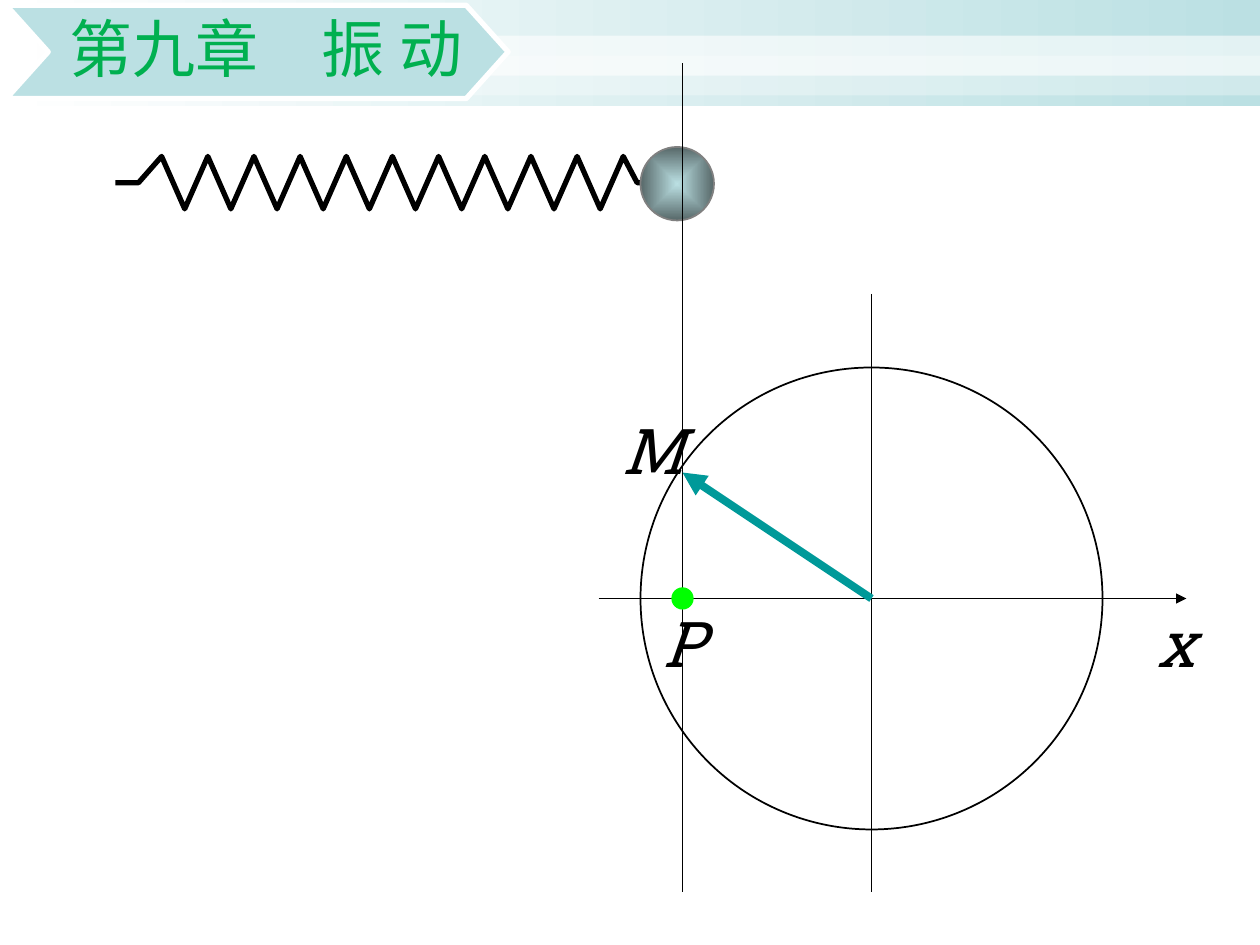
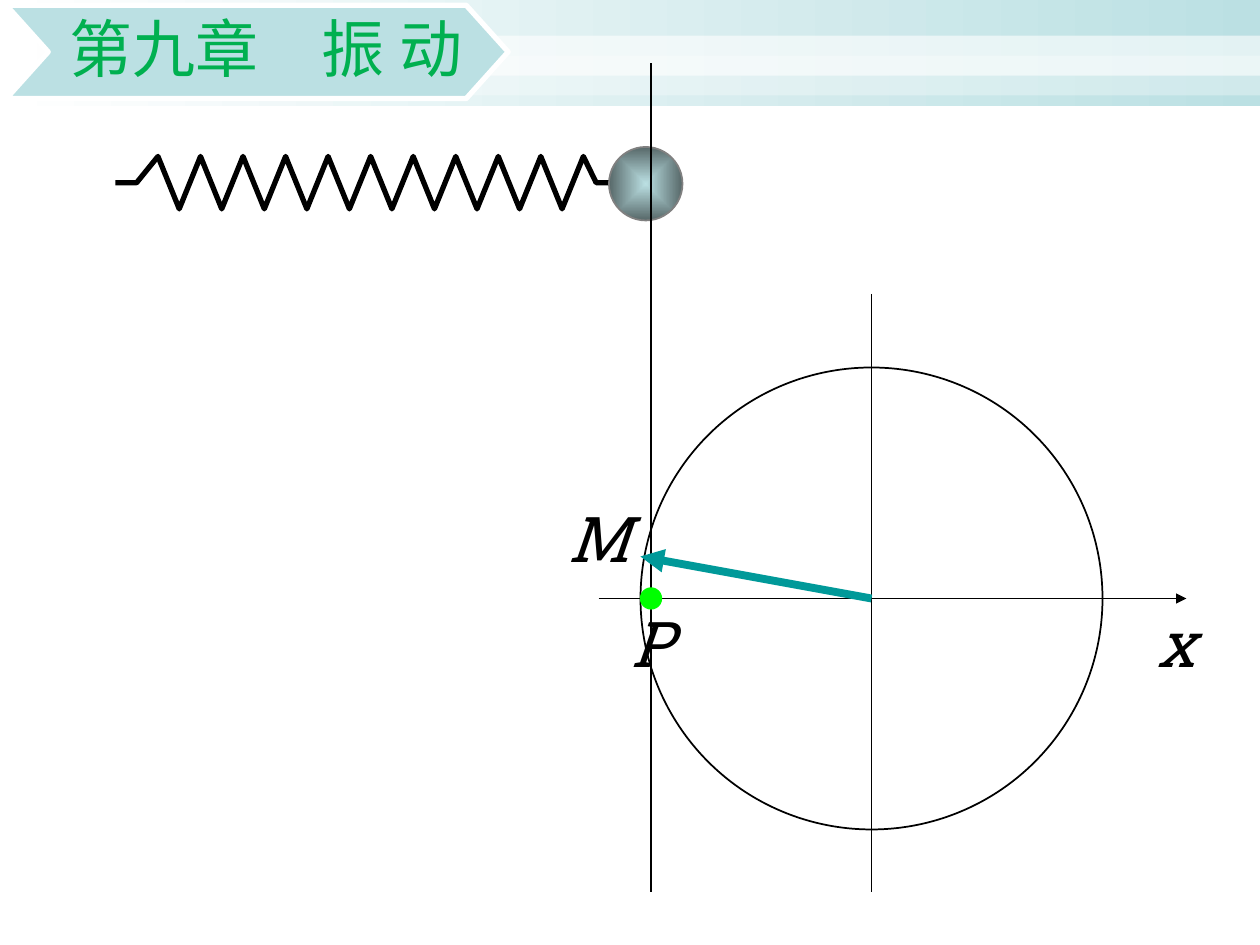
from dataclasses import dataclass

from lxml import etree
from pptx import Presentation
from pptx.dml.color import RGBColor
from pptx.enum.shapes import MSO_CONNECTOR, MSO_SHAPE as SHAPE
from pptx.enum.text import MSO_ANCHOR, MSO_AUTO_SIZE, PP_ALIGN
from pptx.oxml.ns import qn
from pptx.util import Inches, Pt


@dataclass(frozen=True)
class Theme:
    paper: str = "FFFFFF"
    ink: str = "000000"
    pale: str = "BBE0E3"
    ball_edge: str = "576869"
    ball_line: str = "808080"
    vector: str = "009999"
    point: str = "00FF00"
    title: str = "00B050"
    title_font: str = "Calibri"
    label_font: str = "Roboto Slab"
    size: int = 36
    thin: float = 1
    bold: float = 3
    arrow: float = 4.5


@dataclass(frozen=True)
class Phase:
    """One moment of the motion, in grid units."""
    x: int
    tip: tuple
    m_label: tuple


T = Theme()
WIDTH, HEIGHT = 120, 90  # grid of 12 units to the inch
CENTER_X, CENTER_Y, RADIUS = 83, 57, 22
BOTTOM = 85
PHASES = (Phase(65, (65, 45), (58.1, 38.6)),
          Phase(62, (61, 53), (53, 47)))


def grid(*units):
    return [Inches(u / 12) for u in units]


def rgb(code):
    return RGBColor.from_string(code)


def set_line(sp, color, width):
    sp.line.color.rgb = rgb(color)
    sp.line.width = Pt(width)


def add_preset(slide, kind, *box):
    sp = slide.shapes.add_shape(kind, *grid(*box))
    sp.shadow.inherit = False
    sp.fill.background()
    sp.line.fill.background()
    return sp


def fill_solid(sp, color, opacity=100):
    sp.fill.solid()
    sp.fill.fore_color.rgb = rgb(color)
    if opacity < 100:
        clr = sp.element.spPr.find(qn("a:solidFill"))[0]
        etree.SubElement(clr, qn("a:alpha"), val=str(opacity * 1000))


def fill_gradient(sp, first, last, from_center=False):
    sp.fill.gradient()
    sp.fill.gradient_angle = 0
    for stop, color, position in zip(sp.fill.gradient_stops, (first, last), (0, 1)):
        stop.color.rgb = rgb(color)
        stop.position = position
    if from_center:
        grad = sp.element.spPr.find(qn("a:gradFill"))
        lin = grad.find(qn("a:lin"))
        rect = etree.Element(qn("a:path"), path="rect")
        etree.SubElement(rect, qn("a:fillToRect"),
                         {side: "50000" for side in "ltrb"})
        grad.replace(lin, rect)


def add_outline(slide, points, close):
    first, *rest = [grid(*point) for point in points]
    builder = slide.shapes.build_freeform(*first)
    builder.add_line_segments(rest, close=close)
    sp = builder.convert_to_shape()
    sp.shadow.inherit = False
    return sp


def add_line(slide, start, end, color=T.ink, width=T.thin, arrow=False):
    line = slide.shapes.add_connector(MSO_CONNECTOR.STRAIGHT, *grid(*start, *end))
    set_line(line, color, width)
    if arrow:
        etree.SubElement(line.line._get_or_add_ln(), qn("a:tailEnd"), type="triangle")
    etree.SubElement(line.element.spPr, qn("a:effectLst"))


def format_text(tf, font, color):
    for r in tf.paragraphs[0].runs:
        r.font.name = font
        r.font.size = Pt(T.size)
        r.font.color.rgb = rgb(color)


def add_label(slide, text, x, y, width):
    sp = slide.shapes.add_textbox(*grid(x, y, width, 8.4))
    tf = sp.text_frame
    tf.word_wrap = False
    tf.text = text
    format_text(tf, T.label_font, T.ink)
    tf.paragraphs[0].runs[0].font.italic = True


def add_header(slide):
    band = add_preset(slide, SHAPE.RECTANGLE, 0, 0, WIDTH, 10.1)
    fill_gradient(band, T.paper, T.pale)
    for top, opacity in ((3.4, 60), (5.3, 31)):
        stripe = add_preset(slide, SHAPE.RECTANGLE, 0, top, WIDTH, 3.8)
        fill_solid(stripe, T.paper, opacity)
    left, right, top, bottom, notch = 0.6, 48.4, 0.5, 9.4, 4
    middle = (top + bottom) / 2
    banner = add_outline(slide, (
        (left, top), (right - notch, top), (right, middle),
        (right - notch, bottom), (left, bottom), (left + notch, middle)), close=True)
    fill_solid(banner, T.pale)
    set_line(banner, T.paper, T.bold)


def share_on_layout(slide):
    """Move the header from the slide to its layout, so every slide shows it."""
    for sp in list(slide.shapes):
        if not sp.is_placeholder:
            slide.slide_layout.shapes.element.append(sp.element)


def set_title(slide, text):
    title = slide.shapes.title
    title.left, title.top, title.width, title.height = grid(0.6, 0.5, 47.8, 8.9)
    tf = title.text_frame
    tf.text = text
    tf.auto_size = MSO_AUTO_SIZE.NONE
    tf.vertical_anchor = MSO_ANCHOR.MIDDLE
    tf.margin_left, tf.margin_right = grid(2, 4.4)
    tf.margin_top = tf.margin_bottom = Inches(0.03)
    p = tf.paragraphs[0]
    p.alignment = PP_ALIGN.RIGHT
    p.line_spacing = 0.9
    format_text(tf, T.title_font, T.title)


def add_spring(slide, end, start=11, middle=17.4, swing=2.5, turns=21):
    """Draw a zigzag whose straight ends take 1 and 0.6 of a half turn."""
    step = (end - start) / (turns + 2.2)
    zigzag = [(start + step * (i + 2), middle + swing * (-1) ** (i + 1))
              for i in range(turns)]
    tail = start + step * (turns + 1.6)
    points = [(start, middle), (start + step, middle), *zigzag,
              (tail, middle), (end, middle)]
    spring = add_outline(slide, points, close=False)
    spring.fill.background()
    set_line(spring, T.ink, T.bold)


def add_oscillator(slide, phase):
    left = phase.x - 4
    add_spring(slide, max(left, 58) + (1 if left > 58 else 0))
    ball = add_preset(slide, SHAPE.OVAL, left, 14, 7, 7)
    fill_gradient(ball, T.pale, T.ball_edge, from_center=True)
    set_line(ball, T.ball_line, T.thin)
    add_line(slide, (phase.x, 6), (phase.x, BOTTOM))


def add_reference_circle(slide):
    circle = add_preset(slide, SHAPE.OVAL, CENTER_X - RADIUS, CENTER_Y - RADIUS,
                        2 * RADIUS, 2 * RADIUS)
    set_line(circle, T.ink, T.thin)
    add_line(slide, (57, CENTER_Y), (113, CENTER_Y), arrow=True)
    add_line(slide, (CENTER_X, 28), (CENTER_X, BOTTOM))
    add_label(slide, "x", 109.1, CENTER_Y, 5.6)


def add_rotating_vector(slide, phase):
    add_line(slide, (CENTER_X, CENTER_Y), phase.tip, T.vector, T.arrow, arrow=True)
    add_label(slide, "M", *phase.m_label, 7.6)
    add_label(slide, "P", phase.x - 3, CENTER_Y, 6)
    point = add_preset(slide, SHAPE.OVAL, phase.x - 1, CENTER_Y - 1, 2, 2)
    fill_solid(point, T.point)
    set_line(point, T.point, 0.75)


def main():
    prs = Presentation()
    prs.slide_width, prs.slide_height = grid(WIDTH, HEIGHT)
    layout = prs.slide_layouts.get_by_name("Title Only")
    for number, phase in enumerate(PHASES):
        slide = prs.slides.add_slide(layout)
        if number == 0:
            add_header(slide)
            share_on_layout(slide)
        set_title(slide, "第九章　振 动")
        add_oscillator(slide, phase)
        add_reference_circle(slide)
        add_rotating_vector(slide, phase)
    prs.save("out.pptx")


if __name__ == "__main__":
    main()
